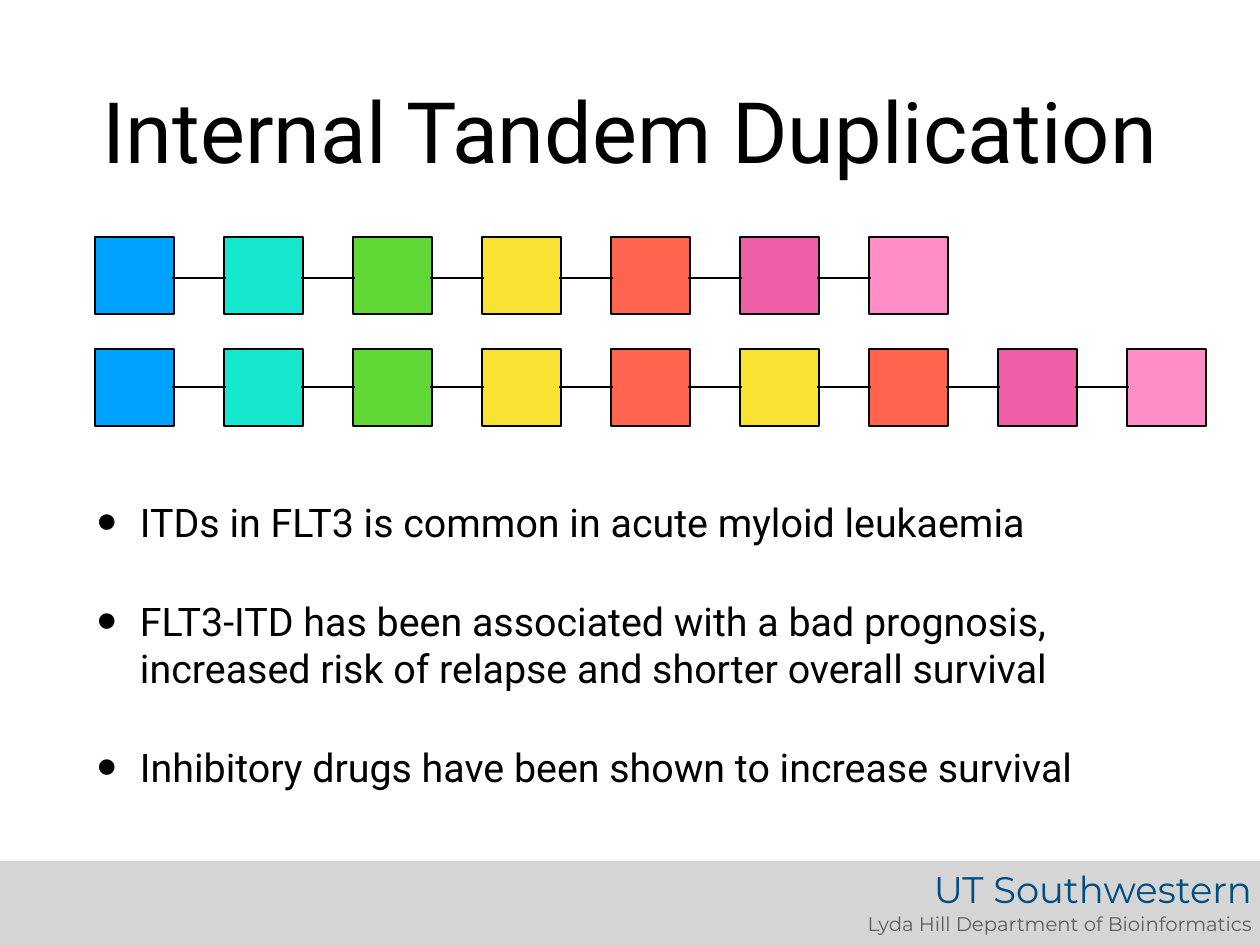
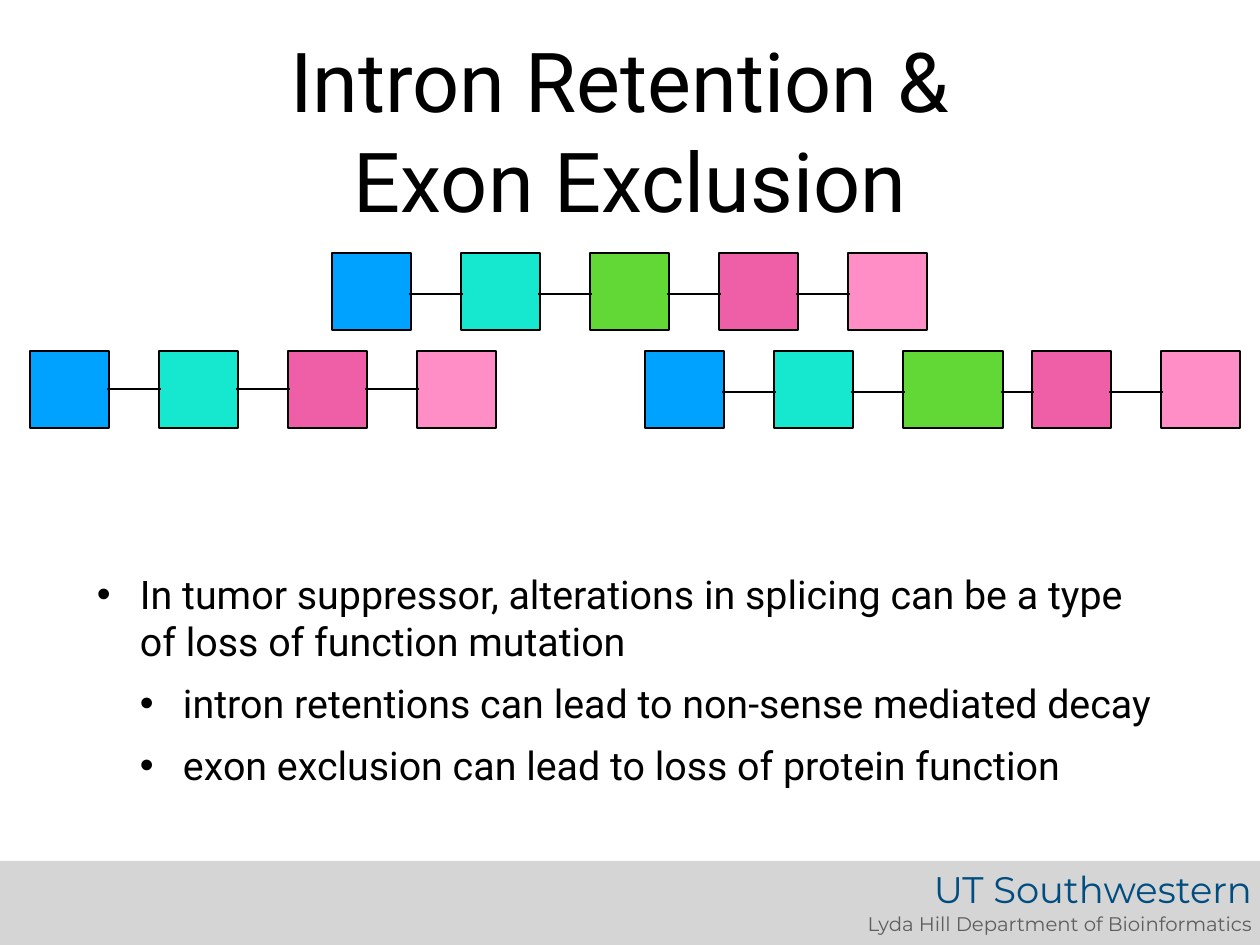
"""Build two slides on tandem duplication and splicing changes."""
from lxml.etree import SubElement
from pptx import Presentation
from pptx.dml.color import RGBColor
from pptx.enum.shapes import MSO_CONNECTOR, MSO_SHAPE
from pptx.enum.text import MSO_ANCHOR, MSO_AUTO_SIZE, PP_ALIGN
from pptx.oxml.ns import qn
from pptx.util import Pt

PX = 10320
BOX, TALL, STEP, LAP = 79, 77, 129, 2
BLACK, GREY = "000000", "D6D5D5"
BLUE, TEAL, GREEN = "00A2FF", "16E7CF", "61D836"
GOLD, CORAL, ROSE, PINK = "FAE232", "FF644E", "EF5FA7", "FF8DC6"
color = RGBColor.from_string


def block(shapes, left, top, wide, tall, hue):
    """Add a plain filled rectangle."""
    shape = shapes.add_shape(MSO_SHAPE.RECTANGLE, left * PX, top * PX, wide * PX, tall * PX)
    shape.shadow.inherit = False
    shape.fill.solid()
    shape.fill.fore_color.rgb = color(hue)
    shape.line.fill.background()
    return shape


def write(frame, lines, align):
    """Fill a text frame with (text, size, font, hue) lines."""
    frame.word_wrap = True
    frame.auto_size = MSO_AUTO_SIZE.NONE
    frame.vertical_anchor = MSO_ANCHOR.MIDDLE
    frame.margin_left = frame.margin_right = 5 * PX
    frame.margin_top = frame.margin_bottom = 5 * PX
    for i, (text, size, font, hue) in enumerate(lines):
        para = frame.add_paragraph() if i else frame.paragraphs[0]
        para.alignment = align
        para.space_before = Pt(0)
        run = para.add_run()
        run.text = text
        run.font.size = Pt(size)
        run.font.name = font
        run.font.color.rgb = color(hue)


pages = [
    {
        "title": ["Internal Tandem Duplication"], "size": 68.8,
        "body": (462, 365), "gap": 42, "dot": 145,
        "list": [
            (0, "ITDs in FLT3 is common in acute myloid leukaemia"),
            (0, "FLT3-ITD has been associated with a bad prognosis, "
                "increased risk of relapse and shorter overall survival"),
            (0, "Inhibitory drugs have been shown to increase survival"),
        ],
        "chains": [
            (95, 237, 278, [BLUE, TEAL, GREEN, GOLD, CORAL, ROSE, PINK], {}),
            (95, 349, 387, [BLUE, TEAL, GREEN, GOLD, CORAL, GOLD, CORAL, ROSE, PINK], {}),
        ],
    },
    {
        "title": ["Intron Retention & ", "Exon Exclusion"], "size": 67.2,
        "body": (499, 361), "gap": 12, "dot": 100,
        "list": [
            (0, "In tumor suppressor, alterations in splicing can be a type "
                "of loss of function mutation"),
            (1, "intron retentions can lead to non-sense mediated decay"),
            (1, "exon exclusion can lead to loss of protein function"),
        ],
        "chains": [
            (332, 253, 294, [BLUE, TEAL, GREEN, ROSE, PINK], {}),
            (30, 351, 389, [BLUE, TEAL, ROSE, PINK], {}),
            (645, 351, 392, [BLUE, TEAL, GREEN, ROSE, PINK], {2: 100}),
        ],
    },
]

deck = Presentation()
deck.slide_width, deck.slide_height = 1260 * PX, 945 * PX
layout = deck.slide_layouts[1]
for holder in list(layout.placeholders):
    if holder.placeholder_format.idx > 1:
        holder.element.getparent().remove(holder.element)

for page in pages:
    slide = deck.slides.add_slide(layout)
    shapes = slide.shapes

    if page is pages[0]:
        band = block(shapes, -1, 861, 1262, 90, GREY)
        sign = shapes.add_textbox(826 * PX, 856 * PX, 431 * PX, 90 * PX)
        write(sign.text_frame, [
            ("UT Southwestern", 30, "Montserrat", "004D80"),
            ("Lyda Hill Department of Bioinformatics", 16, "Montserrat", "5E5E5E"),
        ], PP_ALIGN.RIGHT)
        for part in (band, sign):
            layout.shapes.element.append(part.element)

    title, body = shapes.title, slide.placeholders[1]
    for holder, (top, tall) in ((title, (25, 209)), (body, page["body"])):
        holder.left, holder.top = 92 * PX, top * PX
        holder.width, holder.height = 1076 * PX, tall * PX
    write(title.text_frame,
          [(text, page["size"], "Roboto", BLACK) for text in page["title"]], PP_ALIGN.CENTER)
    write(body.text_frame,
          [(text, 32, "Roboto", BLACK) for level, text in page["list"]], PP_ALIGN.LEFT)
    for i, (level, text) in enumerate(page["list"]):
        para = body.text_frame.paragraphs[i]
        para.level = level
        para.space_before = Pt(page["gap"] if i else 0)
        props = para._p.get_or_add_pPr()
        props.set("marL", str(43 * PX * (level + 1)))
        props.set("indent", str(-43 * PX))
        SubElement(props, qn("a:buSzPct")).set("val", str(page["dot"] * 1000))
        SubElement(props, qn("a:buChar")).set("char", "•")

    for left, top, mid, hues, wides in page["chains"]:
        for i, hue in enumerate(hues):
            exon = block(shapes, left + i * STEP, top, wides.get(i, BOX), TALL, hue)
            exon.line.color.rgb = color(BLACK)
            exon.line.width = Pt(2)
        for i in range(len(hues) - 1):
            start = left + i * STEP + wides.get(i, BOX) - LAP
            end = left + (i + 1) * STEP + LAP
            link = shapes.add_connector(
                MSO_CONNECTOR.STRAIGHT, start * PX, mid * PX, end * PX, mid * PX)
            link.line.color.rgb = color(BLACK)
            link.line.width = Pt(2)
            SubElement(link.element.spPr, qn("a:effectLst"))

deck.save("out.pptx")
